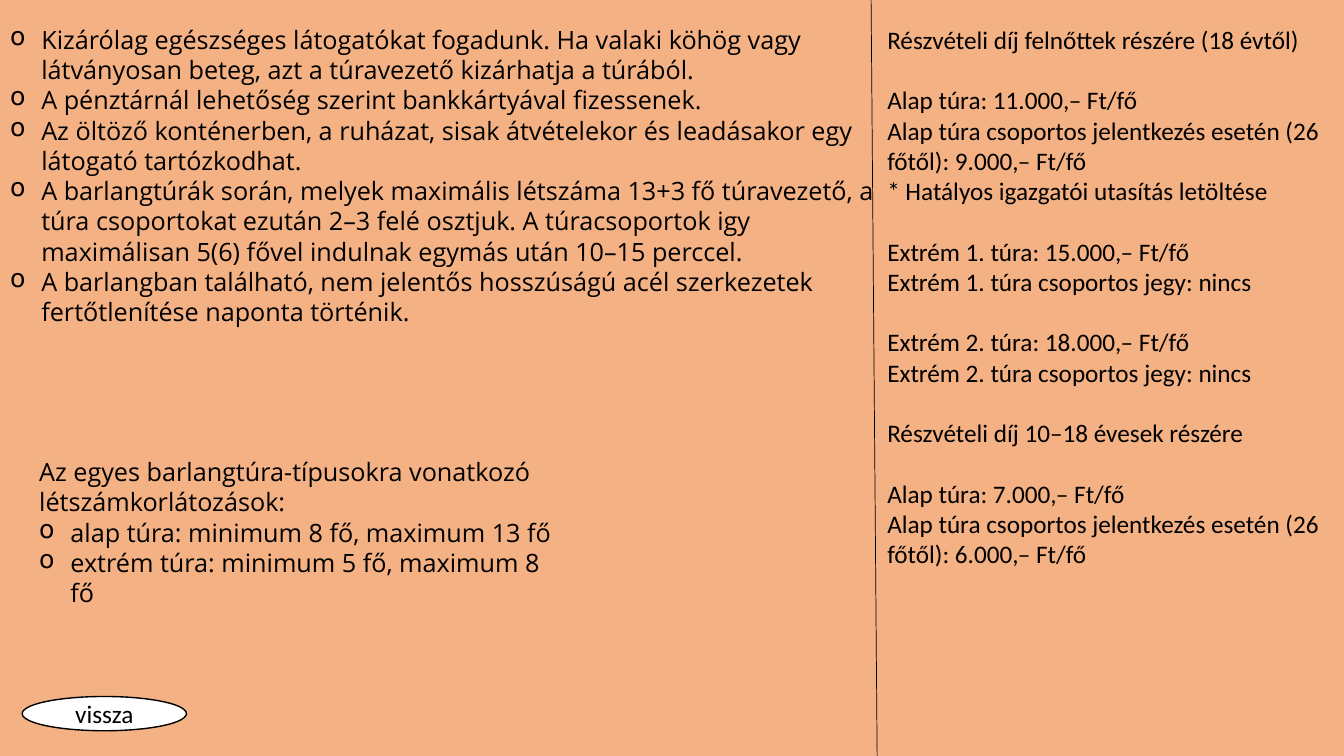
import pptx
import pptx.util
import pptx.dml.color
import pptx.enum.shapes
import pptx.enum.text
import pptx.oxml
import pptx.oxml.ns

WIDTH, HEIGHT = 13.33, 7.5
TEXT_TOP = 0.19
PRICE_LEFT = 8.7
INDENT = 0.31
TEXT_SIZE = 18
LINE_PITCH = 21.6


def color(hex_string):
    return pptx.dml.color.RGBColor.from_string(hex_string)


def add_text(paragraph, text, font, bullet=False, gap=0):
    paragraph.space_before = pptx.util.Pt(gap)
    paragraph.space_after = pptx.util.Pt(0)
    paragraph.line_spacing = pptx.util.Pt(LINE_PITCH)
    properties = paragraph._p.get_or_add_pPr()
    indent = pptx.util.Inches(INDENT) if bullet else 0
    properties.set("marL", str(indent))
    properties.set("indent", str(-indent))
    namespace = pptx.oxml.ns.nsdecls("a")
    marks = ["<a:buFontTx %s/>", '<a:buChar %s char="o"/>'] if bullet else ["<a:buNone %s/>"]
    for mark in marks:
        properties.append(pptx.oxml.parse_xml(mark % namespace))
    run = paragraph.add_run()
    run.text = text
    run.font.name = font
    run.font.size = pptx.util.Pt(TEXT_SIZE)
    run.font.color.rgb = color("000000")


presentation = pptx.Presentation()
presentation.slide_width = pptx.util.Inches(WIDTH)
presentation.slide_height = pptx.util.Inches(HEIGHT)
slide = presentation.slides.add_slide(presentation.slide_layouts[3])
slide.background.fill.solid()
slide.background.fill.fore_color.rgb = color("F4B183")

title = slide.shapes.title
title.element.getparent().remove(title.element)

rules = [
    "Kizárólag egészséges látogatókat fogadunk. Ha valaki köhög vagy látványosan beteg, azt a túravezető kizárhatja a túrából.",
    "A pénztárnál lehetőség szerint bankkártyával fizessenek.",
    "Az öltöző konténerben, a ruházat, sisak átvételekor és leadásakor egy látogató tartózkodhat.",
    "A barlangtúrák során, melyek maximális létszáma 13+3 fő túravezető, a túra csoportokat ezután 2–3 felé osztjuk. A túracsoportok igy maximálisan 5(6) fővel indulnak egymás után 10–15 perccel.",
    "A barlangban található, nem jelentős hosszúságú acél szerkezetek fertőtlenítése naponta történik.",
]
limits_heading = "Az egyes barlangtúra-típusokra vonatkozó létszámkorlátozások:"
limits = [
    "alap túra: minimum 8 fő, maximum 13 fő",
    "extrém túra: minimum 5 fő, maximum 8 fő",
]
price_groups = [
    ["Részvételi díj felnőttek részére (18 évtől)"],
    [
        "Alap túra: 11.000,– Ft/fő",
        "Alap túra csoportos jelentkezés esetén (26 főtől): 9.000,– Ft/fő",
        "* Hatályos igazgatói utasítás letöltése",
    ],
    ["Extrém 1. túra: 15.000,– Ft/fő", "Extrém 1. túra csoportos jegy: nincs"],
    ["Extrém 2. túra: 18.000,– Ft/fő", "Extrém 2. túra csoportos jegy: nincs"],
    ["Részvételi díj 10–18 évesek részére"],
    [
        "Alap túra: 7.000,– Ft/fő",
        "Alap túra csoportos jelentkezés esetén (26 főtől): 6.000,– Ft/fő",
    ],
]

rule_lines = [(text, True, 0) for text in rules]
limit_lines = [(limits_heading, False, 0)] + [(text, True, 0) for text in limits]
price_lines = [
    (text, False, LINE_PITCH if group_number and not line_number else 0)
    for group_number, group in enumerate(price_groups)
    for line_number, text in enumerate(group)
]

rules_box, prices_box = slide.placeholders
limits_box = slide.shapes.add_textbox(0, 0, 0, 0)
text_blocks = [
    (rules_box, (0, TEXT_TOP, 8.96, 3.13), "Open Sans", rule_lines),
    (limits_box, (0.29, 4.48, 5.45, 1.62), "Open Sans", limit_lines),
    (prices_box, (PRICE_LEFT, TEXT_TOP, WIDTH - PRICE_LEFT, 5.55), "Calibri", price_lines),
]
for shape, bounds, font, lines in text_blocks:
    shape.left, shape.top, shape.width, shape.height = map(pptx.util.Inches, bounds)
    frame = shape.text_frame
    frame.word_wrap = True
    frame.auto_size = pptx.enum.text.MSO_AUTO_SIZE.NONE
    frame.vertical_anchor = pptx.enum.text.MSO_ANCHOR.TOP
    for number, (text, bullet, gap) in enumerate(lines):
        paragraph = frame.add_paragraph() if number else frame.paragraphs[0]
        add_text(paragraph, text, font, bullet, gap)

divider = slide.shapes.add_connector(
    pptx.enum.shapes.MSO_CONNECTOR.STRAIGHT,
    pptx.util.Inches(8.64), 0, pptx.util.Inches(PRICE_LEFT), pptx.util.Inches(HEIGHT),
)
divider.line.color.rgb = color("000000")
divider.line.width = pptx.util.Pt(0.5)
divider.element.spPr.append(
    pptx.oxml.parse_xml("<a:effectLst %s/>" % pptx.oxml.ns.nsdecls("a"))
)

back_button = slide.shapes.add_shape(
    pptx.enum.shapes.MSO_SHAPE.OVAL, *map(pptx.util.Inches, (0.22, 6.91, 1.63, 0.34))
)
back_button.shadow.inherit = False
back_button.fill.solid()
back_button.fill.fore_color.rgb = color("FFFFFF")
back_button.line.color.rgb = color("000000")
back_button.line.width = pptx.util.Pt(1)
back_button.text_frame.vertical_anchor = pptx.enum.text.MSO_ANCHOR.MIDDLE
back_label = back_button.text_frame.paragraphs[0]
back_label.alignment = pptx.enum.text.PP_ALIGN.CENTER
add_text(back_label, "vissza", "Calibri")

presentation.save("out.pptx")
